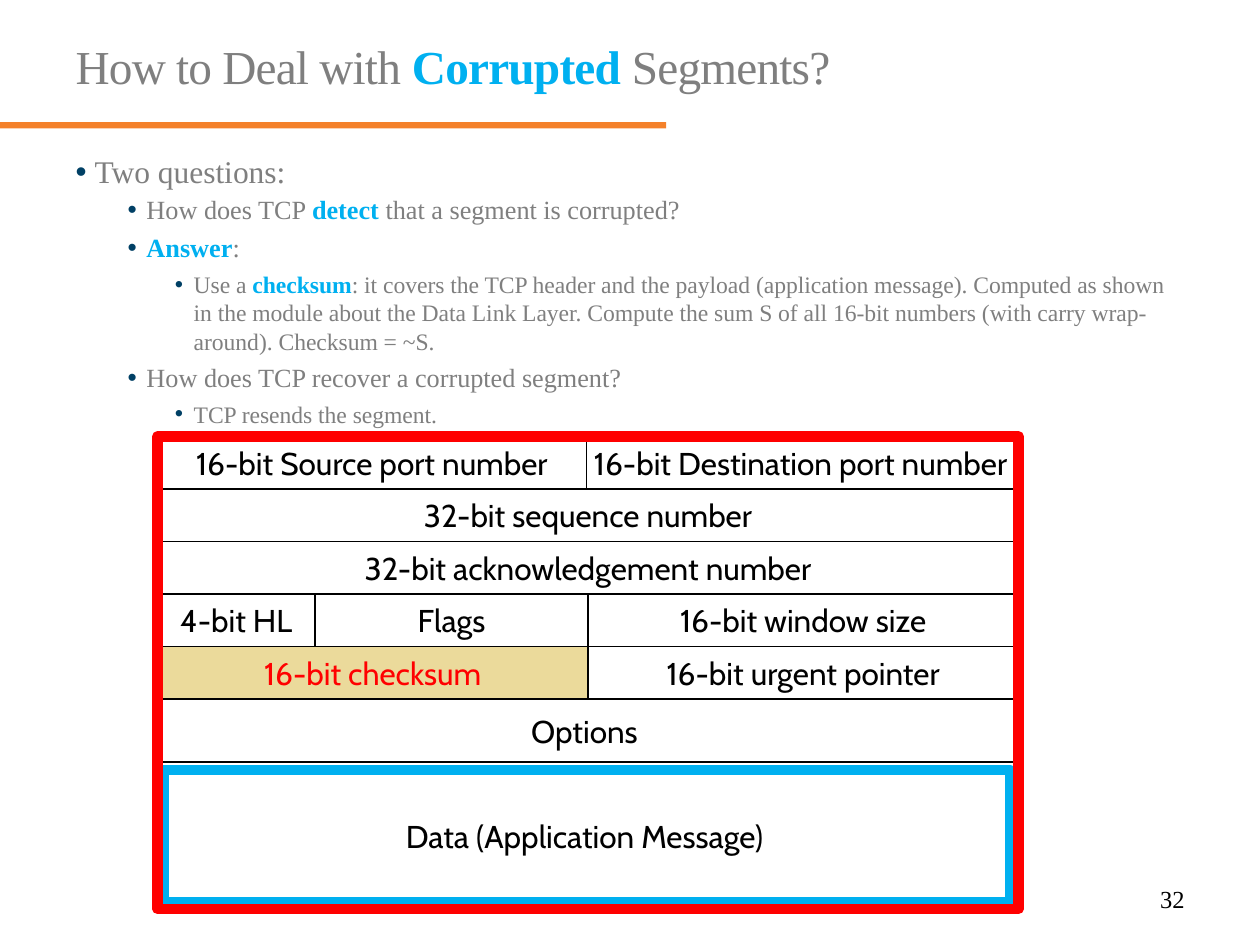
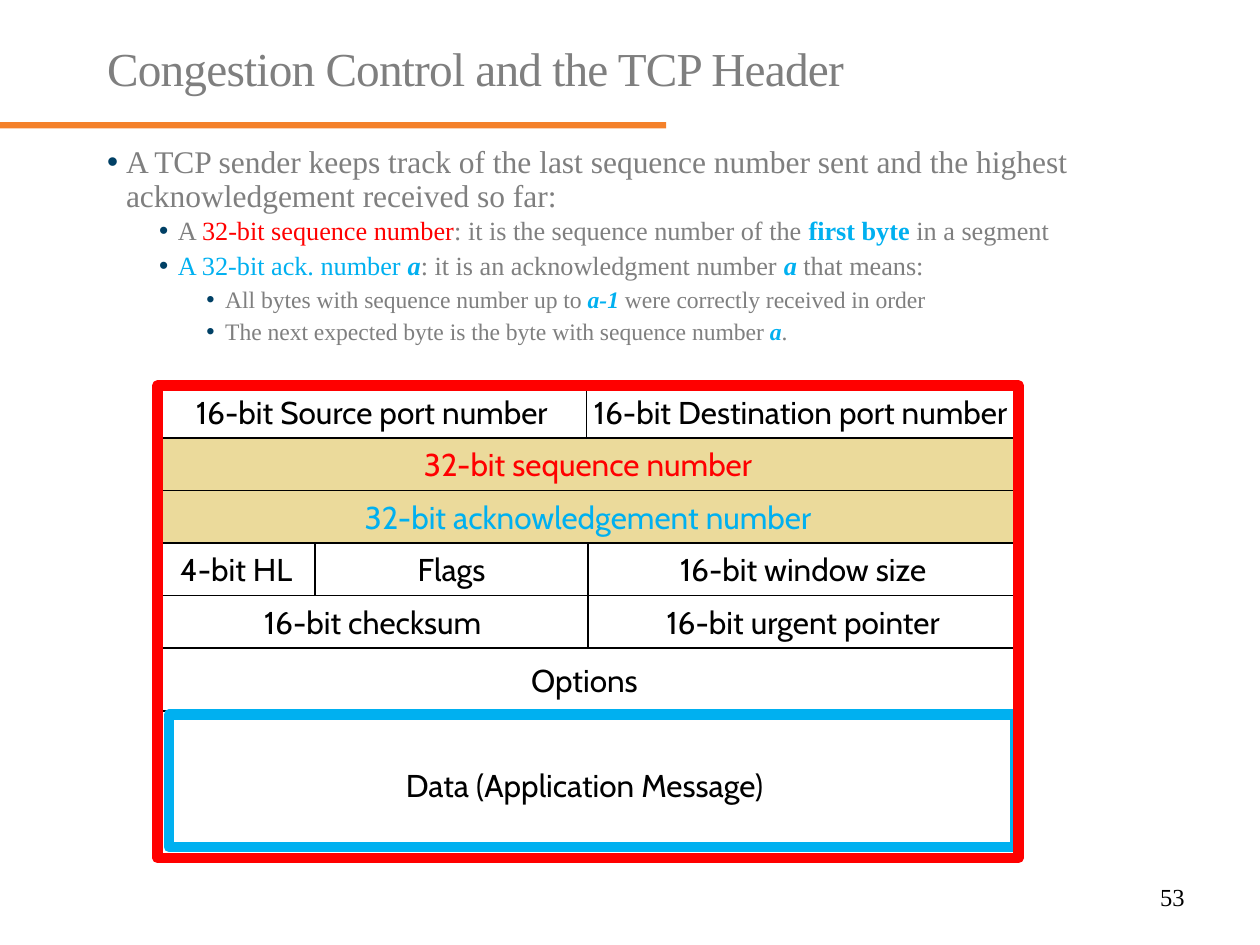
from lxml import etree
from pptx import Presentation
from pptx.dml.color import RGBColor
from pptx.enum.shapes import MSO_SHAPE
from pptx.enum.text import MSO_ANCHOR, MSO_AUTO_SIZE, PP_ALIGN
from pptx.oxml.ns import qn
from pptx.util import Pt

RECT = MSO_SHAPE.RECTANGLE
TOP, MIDDLE = MSO_ANCHOR.TOP, MSO_ANCHOR.MIDDLE
LEFT, CENTER, RIGHT = PP_ALIGN.LEFT, PP_ALIGN.CENTER, PP_ALIGN.RIGHT
FIXED = MSO_AUTO_SIZE.NONE

HEX = {"gray": "7F7F7F", "cyan": "00B0F0", "red": "FF0000", "black": "000000",
       "orange": "F4812A", "sand": "EBDA9B", "navy": "004065"}
SERIF, SANS = "Times New Roman", "Cabin"

# Run styles: colour and font format
STYLE = {
    "plain": ("gray", {}),
    "key": ("cyan", {"bold": True}),
    "var": ("cyan", {"bold": True, "italic": True}),
    "cyan": ("cyan", {}),
    "red": ("red", {}),
    "black": ("black", {}),
}

# List levels: size, indent, space before and after
LEVEL = [(18, 10.8, 9, 0), (15, 40.5, 1.9, 1.9), (13.5, 67.5, 1.9, 1.9)]
HANG = 10.8

# Header cells: row, left, width, text
X, WIDE, ROW = 90, 492, 30
CELLS = [
    (0, X, 245, "16-bit Source port number"),
    (0, 335, 245, "16-bit Destination port number"),
    (1, X, WIDE, "32-bit sequence number"),
    (2, X, WIDE, "32-bit acknowledgement number"),
    (3, X, 90, "4-bit HL"),
    (3, 180, 156, "Flags"),
    (3, 336, 246, "16-bit window size"),
    (4, X, 246, "16-bit checksum"),
    (4, 336, 246, "16-bit urgent pointer"),
    (5, X, WIDE, "Options "),
    (6, X, WIDE, "Data (Application Message) "),
]
TALL = {5: 36, 6: 84}
DATA_TOP = 5 * ROW + TALL[5]
FULL = DATA_TOP + TALL[6]

SLIDES = [
    {
        "title": [("How to Deal with ", "plain"), ("Corrupted", "key"),
                  (" Segments?", "plain")],
        "head": (36, 21.6, 648, 48),
        "body": (36, 83.5, 648, 116),
        "space": 1.0,
        "list": [
            (0, [("Two questions:", "plain")]),
            (1, [("How does TCP ", "plain"), ("detect", "key"),
                 (" that a segment is corrupted?", "plain")]),
            (1, [("Answer", "key"), (":", "plain")]),
            (2, [("Use a ", "plain"), ("checksum", "key"),
                 (": it covers the TCP header and the payload (application message). "
                  "Computed as shown in the module about the Data Link Layer. "
                  "Compute the sum S of all 16-bit numbers (with carry wrap-around). "
                  "Checksum = ~S.", "plain")]),
            (1, [("How does TCP recover a corrupted segment?", "plain")]),
            (2, [("TCP resends the segment.", "plain")]),
        ],
        "top": 249.4,
        "marks": {"16-bit checksum": "red"},
        "inner": (93.6, 440),
        "page": ("32", 501.5),
    },
    {
        "title": [("Congestion Control and the TCP Header", "plain")],
        "head": (54, 22.6, 630, 33),
        "body": (54, 80, 612, 130),
        "space": 0.9,
        "list": [
            (0, [("A TCP sender keeps track of the last sequence number sent and "
                  "the highest acknowledgement received so far:", "plain")]),
            (1, [("A ", "plain"), ("32-bit sequence number", "red"),
                 (": it is the sequence number of the ", "plain"),
                 ("first byte ", "key"), ("in a segment", "plain")]),
            (1, [("A 32-bit ack. number ", "cyan"), ("a", "var"),
                 (": it is an acknowledgment number ", "plain"), ("a", "var"),
                 (" that means:", "plain")]),
            (2, [("All bytes with sequence number up to ", "plain"), ("a-1 ", "var"),
                 ("were correctly received in order", "plain")]),
            (2, [("The next expected byte is the byte with sequence number ", "plain"),
                 ("a", "var"), (".", "plain")]),
        ],
        "top": 220.3,
        "marks": {"32-bit sequence number": "red",
                  "32-bit acknowledgement number": "cyan"},
        "inner": (96.5, 408.4),
        "page": ("53", 500.5),
    },
]


def write(par, runs, size, face, **form):
    """Add styled runs to a paragraph and format it."""
    for text, style in runs:
        run = par.add_run()
        run.text = text
        tint, more = STYLE[style]
        for name, val in {"size": Pt(size), "name": face, **more}.items():
            setattr(run.font, name, val)
        run.font.color.rgb = RGBColor.from_string(HEX[tint])
    for name, val in form.items():
        setattr(par, name, val)


def box(slide, place, fill=None, line=None, width=0.75):
    """Draw a rectangle with an optional fill and line."""
    shape = slide.shapes.add_shape(RECT, *map(Pt, place))
    shape.shadow.inherit = False
    if fill:
        shape.fill.solid()
        shape.fill.fore_color.rgb = RGBColor.from_string(HEX[fill])
    else:
        shape.fill.background()
    if line:
        shape.line.color.rgb = RGBColor.from_string(HEX[line])
        shape.line.width = Pt(width)
    else:
        shape.line.fill.background()
    return shape


deck = Presentation()
deck.slide_width, deck.slide_height = Pt(720), Pt(540)

for info in SLIDES:
    slide = deck.slides.add_slide(deck.slide_layouts[1])
    title, body = slide.shapes.title, slide.placeholders[1]

    # Orange band
    box(slide, (0, 69.8, 380.7, 3.6), "orange")

    # Title and list frames
    for holder, key in ((title, "head"), (body, "body")):
        for name, val in zip(("left", "top", "width", "height"), info[key]):
            setattr(holder, name, Pt(val))
        for name, val in {"vertical_anchor": TOP, "word_wrap": True,
                          "auto_size": FIXED}.items():
            setattr(holder.text_frame, name, val)

    # Title
    par = title.text_frame.paragraphs[0]
    write(par, info["title"], 27, SERIF, alignment=LEFT, line_spacing=0.9)
    for run in par.runs:
        run.font._element.set("spc", "-45")

    # Bullet list
    frame = body.text_frame
    for num, (level, runs) in enumerate(info["list"]):
        par = frame.add_paragraph() if num else frame.paragraphs[0]
        size, indent, before, after = LEVEL[level]
        props = par._p.get_or_add_pPr()
        props.set("marL", str(Pt(indent)))
        props.set("indent", str(-Pt(HANG)))
        tint = etree.SubElement(props, qn("a:buClr"))
        etree.SubElement(tint, qn("a:srgbClr"), val=HEX["navy"])
        etree.SubElement(props, qn("a:buFont"), typeface="Arial")
        etree.SubElement(props, qn("a:buChar"), char="•")
        write(par, runs, size, SERIF, level=level, line_spacing=info["space"],
              space_before=Pt(before if num else 0), space_after=Pt(after))

    # Segment header cells
    top = info["top"]
    for row, left, width, text in CELLS:
        start = DATA_TOP if row == 6 else row * ROW
        mark = info["marks"].get(text)
        cell = box(slide, (left, top + start, width, TALL.get(row, ROW)),
                   "sand" if mark else None, "black")
        cell.text_frame.word_wrap = False
        cell.text_frame.vertical_anchor = MIDDLE
        write(cell.text_frame.paragraphs[0], [(text, mark or "black")], 18, SANS,
              alignment=CENTER)

    # Frames around the data and the whole segment
    box(slide, (*info["inner"], 484, 75.6), line="cyan", width=6)
    box(slide, (X, top, WIDE, FULL), line="red", width=6)

    # Page number
    page, high = info["page"]
    note = slide.shapes.add_textbox(Pt(516), Pt(high), Pt(168), Pt(29))
    note.text_frame.word_wrap = True
    write(note.text_frame.paragraphs[0], [(page, "black")], 14, SERIF, alignment=RIGHT)

deck.save("out.pptx")
